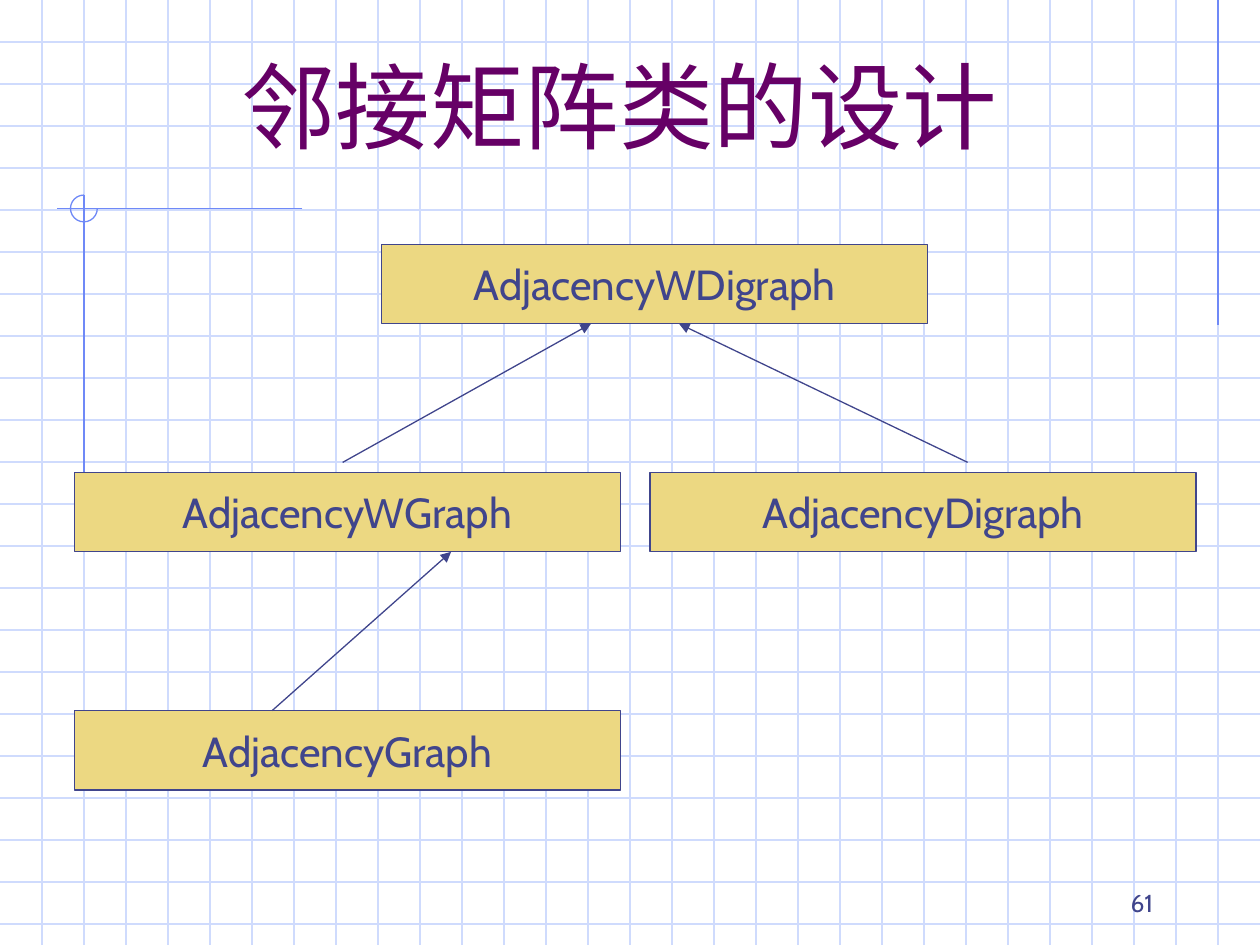
from lxml import etree
from pptx import Presentation
from pptx.dml.color import RGBColor
from pptx.enum.shapes import MSO_CONNECTOR, MSO_SHAPE
from pptx.enum.text import MSO_ANCHOR, PP_ALIGN
from pptx.oxml.ns import qn
from pptx.util import Pt

STRAIGHT = MSO_CONNECTOR.STRAIGHT
RECTANGLE, ARC = MSO_SHAPE.RECTANGLE, MSO_SHAPE.ARC
BOTTOM, MIDDLE = MSO_ANCHOR.BOTTOM, MSO_ANCHOR.MIDDLE
CENTER, RIGHT = PP_ALIGN.CENTER, PP_ALIGN.RIGHT

WIDTH, HEIGHT, GRID_STEP = 720, 540, 24
LINE_WIDTH = 0.75
BOX_WIDTH, BOX_HEIGHT = 312, 45.36
LATIN, CHINESE = "Cabin", "Noto Sans CJK SC"

COLORS = {
    "grid": "CFDBFD",
    "accent": "6F89F7",
    "title": "660066",
    "box": "ECD882",
    "ink": "40458C",
}

# Class name: left, top
CLASSES = {
    "AdjacencyWDigraph": (218.16, 139.68),
    "AdjacencyGraph": (42.48, 406.08),
    "AdjacencyDigraph": (371.52, 270),
    "AdjacencyWGraph": (42.48, 270),
}

# Subclass to base class: x1, y1, x2, y2
INHERITANCE = [
    (195.84, 264.24, 337.68, 185.04),
    (552.96, 264.24, 388.08, 185.04),
    (155.52, 406.08, 257.76, 315.36),
]


def color(name):
    return RGBColor.from_string(COLORS[name])


def set_line(shape, name):
    shape.line.color.rgb = color(name)
    shape.line.width = Pt(LINE_WIDTH)


def add_line(slide, x1, y1, x2, y2, name, arrow=False):
    line = slide.shapes.add_connector(STRAIGHT, Pt(x1), Pt(y1), Pt(x2), Pt(y2))
    set_line(line, name)
    if arrow:
        outline = line.line._get_or_add_ln()
        etree.SubElement(outline, qn("a:tailEnd"), type="triangle")
    etree.SubElement(line._element.spPr, qn("a:effectLst"))


def write_text(shape, text, name, size, font, align, anchor, wrap=True):
    frame = shape.text_frame
    frame_format = {"word_wrap": wrap, "vertical_anchor": anchor}
    for attribute, value in frame_format.items():
        setattr(frame, attribute, value)

    paragraph = frame.paragraphs[0]
    paragraph.alignment = align
    run = paragraph.add_run()
    run.text = text
    for attribute, value in {"name": font, "size": Pt(size)}.items():
        setattr(run.font, attribute, value)
    run.font.color.rgb = color(name)
    # East Asian characters take their font from a:ea
    etree.SubElement(run._r.get_or_add_rPr(), qn("a:ea"), typeface=font)


def add_text(slide, left, top, width, height, *text_format):
    label = slide.shapes.add_textbox(Pt(left), Pt(top), Pt(width), Pt(height))
    write_text(label, *text_format)


def add_class_box(slide, class_name, left, top):
    box = slide.shapes.add_shape(
        RECTANGLE, Pt(left), Pt(top), Pt(BOX_WIDTH), Pt(BOX_HEIGHT))
    box.shadow.inherit = False
    box.fill.solid()
    box.fill.fore_color.rgb = color("box")
    set_line(box, "ink")
    write_text(box, class_name, "ink", 24, LATIN, CENTER, MIDDLE, wrap=False)


def add_grid(slide):
    for y in range(GRID_STEP, HEIGHT, GRID_STEP):
        add_line(slide, 0, y, WIDTH, y, "grid")
    for x in range(GRID_STEP, WIDTH, GRID_STEP):
        add_line(slide, x, 0, x, HEIGHT, "grid")


def add_corner_marks(slide):
    add_line(slide, 696, 0, 696, 185.76, "accent")
    add_line(slide, 172.8, 119.16, 32.4, 119.16, "accent")
    add_line(slide, 48, 111.6, 48, 294.48, "accent")
    # Three quarters of a circle, from the right round to the top
    ring = slide.shapes.add_shape(
        ARC, Pt(40.3), Pt(111.5), Pt(15.3), Pt(15.3))
    ring.shadow.inherit = False
    ring.adjustments[0], ring.adjustments[1] = 0, 162
    ring.fill.background()
    set_line(ring, "accent")


def main():
    presentation = Presentation()
    presentation.slide_width = Pt(WIDTH)
    presentation.slide_height = Pt(HEIGHT)
    slide = presentation.slides.add_slide(presentation.slide_layouts[6])

    # Graph paper background
    add_grid(slide)
    add_corner_marks(slide)

    # Title
    add_text(slide, 48, 24, 612, 72,
             "邻接矩阵类的设计", "title", 54, CHINESE, CENTER, BOTTOM)

    # Class hierarchy
    for class_name, (left, top) in CLASSES.items():
        add_class_box(slide, class_name, left, top)
    for ends in INHERITANCE:
        add_line(slide, *ends, "ink", arrow=True)

    # Page number
    add_text(slide, 516, 492, 150, 36, "61", "ink", 14, LATIN, RIGHT, BOTTOM)

    presentation.save("out.pptx")


if __name__ == "__main__":
    main()
